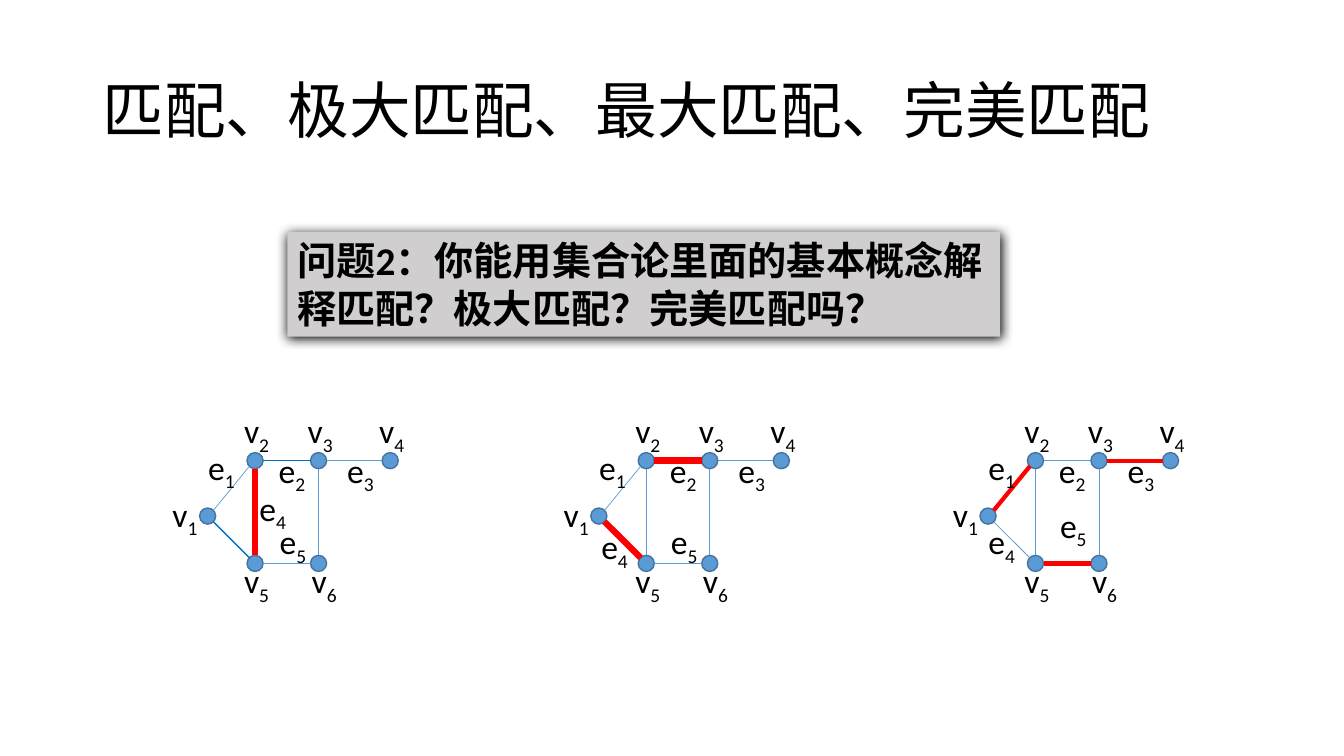
import pptx
import pptx.dml.color
import pptx.enum.lang
import pptx.enum.shapes
import pptx.enum.text
import pptx.oxml
import pptx.oxml.ns
import pptx.util

Inches = pptx.util.Inches
Pt = pptx.util.Pt

COLORS = {"black": "000000", "node": "5B9BD5", "node_line": "43739E",
          "matched": "FF0000", "accent": "0070C0", "panel": "D0CECE"}

RADIUS = 0.08
LABEL_SIZE = 0.51

# Vertex centres: x from the graph's origin (v2), y on the page
VERTICES = {"v1": (-0.47, 5.12), "v2": (0, 4.57), "v3": (0.63, 4.57),
            "v4": (1.34, 4.57), "v5": (0, 5.59), "v6": (0.63, 5.59)}
EDGES = [("v1", "v2"), ("v1", "v5"), ("v2", "v3"), ("v5", "v6"),
         ("v3", "v4"), ("v2", "v5"), ("v3", "v6")]

# Top left corners of the labels, measured the same way
LABELS = {"v1": (-0.95, 4.85), "v2": (-0.24, 4.02), "v3": (0.39, 4.02),
          "v4": (1.1, 4.02), "v5": (-0.24, 5.51), "v6": (0.43, 5.51),
          "e1": (-0.59, 4.38), "e2": (0.11, 4.41), "e3": (0.79, 4.41),
          "e4": (-0.57, 5.17), "e5": (0.12, 5.12)}

# Each graph: origin, edges with their own style, labels that move
GRAPHS = [
    (2.53, {("v2", "v5"): ("matched", 4.5), ("v1", "v5"): ("accent", 1),
            ("v2", "v3"): ("accent", 1)}, {"e4": (-0.08, 4.79)}),
    (6.41, {("v2", "v3"): ("matched", 4.5), ("v1", "v5"): ("matched", 4.5)}, {}),
    (10.27, {("v1", "v2"): ("matched", 3), ("v3", "v4"): ("matched", 3),
             ("v5", "v6"): ("matched", 3)},
     {"e4": (-0.59, 5.12), "e5": (0.12, 4.96)}),
]


def rgb(name):
    return pptx.dml.color.RGBColor.from_string(COLORS[name])


def add_span(para, text, **formats):
    span = para.add_run()
    span.text = text
    span.font.color.rgb = rgb("black")
    for name, value in ({"name": "Calibri"} | formats).items():
        setattr(span.font, name, value)
    return span


def add_chinese(para, text, **formats):
    chinese = pptx.enum.lang.MSO_LANGUAGE_ID.SIMPLIFIED_CHINESE
    add_span(para, text, language_id=chinese, **formats)


def add_title(page, text):
    box = page.shapes.add_textbox(Inches(0.92), Inches(0.4), Inches(11.5), Inches(1.45))
    frame = box.text_frame
    frame.word_wrap = True
    frame.vertical_anchor = pptx.enum.text.MSO_ANCHOR.MIDDLE
    para = frame.paragraphs[0]
    para.line_spacing = 0.9
    add_chinese(para, text, size=Pt(44))


def add_question(page, text):
    panel = page.shapes.add_shape(pptx.enum.shapes.MSO_SHAPE.RECTANGLE,
                                  Inches(2.85), Inches(2.3), Inches(7.07), Inches(1.04))
    panel.fill.solid()
    panel.fill.fore_color.rgb = rgb("panel")
    panel.line.fill.background()
    # Soft shadow just below the panel
    panel.shadow.inherit = False
    effects = panel._element.spPr.find(pptx.oxml.ns.qn("a:effectLst"))
    effects.append(pptx.oxml.parse_xml(
        f'<a:outerShdw {pptx.oxml.ns.nsdecls("a")} blurRad="{Pt(8.5)}" dist="{Pt(1)}" '
        f'dir="5400000" algn="ctr" rotWithShape="0">'
        f'<a:srgbClr val="{COLORS["black"]}"/></a:outerShdw>'))
    frame = panel.text_frame
    frame.word_wrap = True
    frame.auto_size = pptx.enum.text.MSO_AUTO_SIZE.SHAPE_TO_FIT_TEXT
    frame.vertical_anchor = pptx.enum.text.MSO_ANCHOR.TOP
    para = frame.paragraphs[0]
    para.alignment = pptx.enum.text.PP_ALIGN.LEFT
    add_chinese(para, text, size=Pt(28), bold=True)


def add_vertex(page, x, y):
    vertex = page.shapes.add_shape(pptx.enum.shapes.MSO_SHAPE.OVAL,
                                   Inches(x - RADIUS), Inches(y - RADIUS),
                                   Inches(2 * RADIUS), Inches(2 * RADIUS))
    vertex.shadow.inherit = False
    vertex.fill.solid()
    vertex.fill.fore_color.rgb = rgb("node")
    vertex.line.color.rgb = rgb("node_line")
    vertex.line.width = Pt(1)


def add_edge(page, start, end, color, width):
    # Run from rim to rim: along an axis, or at 45 degrees on the circles
    across = (end[0] > start[0]) - (end[0] < start[0])
    down = (end[1] > start[1]) - (end[1] < start[1])
    reach = RADIUS * (0.7 if across and down else 1)
    edge = page.shapes.add_connector(
        pptx.enum.shapes.MSO_CONNECTOR.STRAIGHT,
        Inches(start[0] + across * reach), Inches(start[1] + down * reach),
        Inches(end[0] - across * reach), Inches(end[1] - down * reach))
    edge.line.color.rgb = rgb(color)
    edge.line.width = Pt(width)
    edge._element.spPr.append(pptx.oxml.parse_xml(
        f'<a:effectLst {pptx.oxml.ns.nsdecls("a")}/>'))


def add_label(page, x, y, name):
    box = page.shapes.add_textbox(Inches(x), Inches(y), Inches(LABEL_SIZE), Inches(LABEL_SIZE))
    frame = box.text_frame
    frame.word_wrap = True
    frame.auto_size = pptx.enum.text.MSO_AUTO_SIZE.SHAPE_TO_FIT_TEXT
    para = frame.paragraphs[0]
    para.alignment = pptx.enum.text.PP_ALIGN.CENTER
    add_span(para, name[0], size=Pt(24))
    subscript = add_span(para, name[1], size=Pt(24))
    subscript.font._element.set("baseline", "-25000")


def add_graph(page, origin, edge_styles, moved_labels):
    centres = {name: (origin + x, y) for name, (x, y) in VERTICES.items()}
    for x, y in centres.values():
        add_vertex(page, x, y)
    for first, second in EDGES:
        color, width = edge_styles.get((first, second), ("node", 0.5))
        add_edge(page, centres[first], centres[second], color, width)
    for name, (x, y) in (LABELS | moved_labels).items():
        add_label(page, origin + x, y, name)


def main():
    deck = pptx.Presentation()
    deck.slide_width = Inches(13.33)
    deck.slide_height = Inches(7.5)
    page = deck.slides.add_slide(deck.slide_layouts[6])

    add_title(page, "匹配、极大匹配、最大匹配、完美匹配")
    for origin, edge_styles, moved_labels in GRAPHS:
        add_graph(page, origin, edge_styles, moved_labels)
    add_question(page, "问题2：你能用集合论里面的基本概念解释匹配？极大匹配？完美匹配吗？")

    deck.save("out.pptx")


if __name__ == "__main__":
    main()
